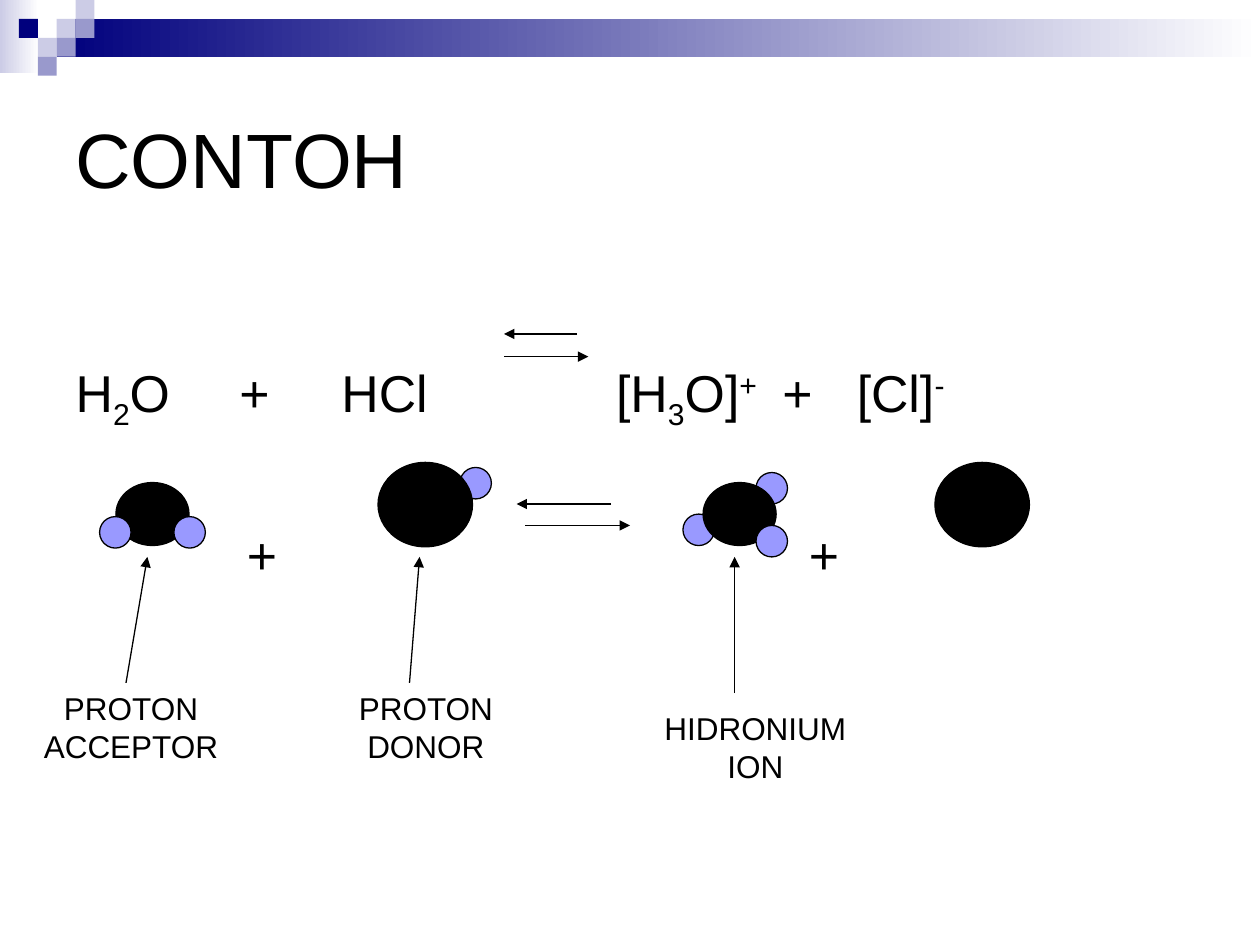
from lxml.etree import SubElement
from pptx import Presentation
from pptx.dml.color import RGBColor
from pptx.enum.shapes import MSO_CONNECTOR as Link, MSO_SHAPE as Shape
from pptx.enum.text import MSO_ANCHOR as Anchor, PP_ALIGN as Align
from pptx.oxml.ns import qn
from pptx.util import Inches, Pt

COLORS = {"ink": "000000", "hydrogen": "9999FF", "navy": "00007D",
          "pale": "CCCCE6", "mid": "9999CC", "white": "FFFFFF"}
FONT = "Arial"
CELL = 0.15
HYDROGEN = (0.25, 0.25)
OXYGEN = (0.58, 0.5)
CHLORINE = (0.75, 0.67)
SUB, SUP = -25000, 30000

GRADIENT_BARS = [(0, 0, 0.31, 0.58, "pale"), (0.45, 0.15, 9.55, 0.3, "navy")]
MOSAIC = [(3, 1, "pale"), (4, 0, "pale"), (4, 1, "mid"), (2, 2, "pale"),
          (1, 1, "navy"), (3, 2, "mid"), (2, 3, "mid")]

TITLE = "CONTOH"
EQUATION = [("H", 0), ("2", SUB), ("O\t+\tHCl\t[H", 0), ("3", SUB), ("O]", 0),
            ("+", SUP), ("\t+\t[Cl]", 0), ("-", SUP)]
EQUATION_TABS = [1.3, 2.11, 4.29, 5.61, 6.2]
MODEL_PLUSES = [("\t+\t+", 0)]
MODEL_TABS = [1.36, 5.82]

ATOMS = [
    (0.92, 3.83, OXYGEN, "ink"),
    (0.79, 4.1, HYDROGEN, "hydrogen"),
    (1.38, 4.1, HYDROGEN, "hydrogen"),
    (3.65, 3.71, HYDROGEN, "hydrogen"),
    (3, 3.67, CHLORINE, "ink"),
    (6, 3.75, HYDROGEN, "hydrogen"),
    (5.42, 4.08, HYDROGEN, "hydrogen"),
    (5.58, 3.83, OXYGEN, "ink"),
    (6, 4.17, HYDROGEN, "hydrogen"),
    (7.42, 3.67, CHLORINE, "ink"),
]
EQUILIBRIUM_ARROWS = [(4, 2.83, 4.67, 2.83), (4.58, 2.65, 4, 2.65),
                      (4.17, 4.17, 5, 4.17), (4.85, 4, 4.1, 4)]
LABELS = [
    ("PROTON ACCEPTOR", (0, 5.42, 2.08, 0.7), (1, 5.42, 1.17, 4.42)),
    ("PROTON DONOR", (2.67, 5.42, 1.42, 0.7), (3.25, 5.42, 3.33, 4.42)),
    ("HIDRONIUM ION", (5.08, 5.58, 1.83, 0.7), (5.83, 5.5, 5.83, 4.42)),
]


def rgb(name):
    return RGBColor.from_string(COLORS[name])


def add_figure(slide, kind, box, color, outlined=False, fading=False):
    figure = slide.shapes.add_shape(kind, *map(Inches, box))
    figure.shadow.inherit = False
    if fading:
        figure.fill.gradient()
        figure.fill.gradient_angle = 0
        for stop, shade in zip(figure.fill.gradient_stops, (color, "white")):
            stop.color.rgb = rgb(shade)
    else:
        figure.fill.solid()
        figure.fill.fore_color.rgb = rgb(color)
    if outlined:
        figure.line.color.rgb = rgb("ink")
        figure.line.width = Pt(0.75)
    else:
        figure.line.fill.background()


def add_arrow(slide, ends):
    arrow = slide.shapes.add_connector(Link.STRAIGHT, *map(Inches, ends))
    arrow.line.color.rgb = rgb("ink")
    arrow.line.width = Pt(0.75)
    SubElement(arrow.line._get_or_add_ln(), qn("a:tailEnd"), type="triangle")
    SubElement(arrow._element.spPr, qn("a:effectLst"))


def add_text(slide, box, size, pieces, align=Align.LEFT, anchor=Anchor.TOP, tabs=(), inset=True):
    frame = slide.shapes.add_textbox(*map(Inches, box)).text_frame
    frame.word_wrap = True
    frame.vertical_anchor = anchor
    if not inset:
        frame.margin_left = frame.margin_right = frame.margin_top = frame.margin_bottom = 0
    paragraph = frame.paragraphs[0]
    paragraph.alignment = align
    paragraph.font.name = FONT
    paragraph.font.size = Pt(size)
    paragraph.font.color.rgb = rgb("ink")
    if tabs:
        stops = paragraph._p.get_or_add_pPr()
        tab_list = stops.makeelement(qn("a:tabLst"))
        stops.insert(0, tab_list)
        for tab in tabs:
            SubElement(tab_list, qn("a:tab"), pos=str(Inches(tab)), algn="l")
    for words, shift in pieces:
        run = paragraph.add_run()
        run.text = words
        if shift:
            run._r.get_or_add_rPr().set("baseline", str(shift))


def main():
    deck = Presentation()
    deck.slide_width, deck.slide_height = Inches(10), Inches(7.5)
    slide = deck.slides.add_slide(deck.slide_layouts[6])

    for *box, color in GRADIENT_BARS:
        add_figure(slide, Shape.RECTANGLE, box, color, fading=True)
    for column, row, color in MOSAIC:
        add_figure(slide, Shape.RECTANGLE, (column * CELL, row * CELL, CELL, CELL), color)

    add_text(slide, (0.5, 0.5, 9, 1.5), 44, [(TITLE, 0)], anchor=Anchor.MIDDLE)
    for top, pieces, tabs in [(2.86, EQUATION, EQUATION_TABS), (4.15, MODEL_PLUSES, MODEL_TABS)]:
        add_text(slide, (0.6, top, 8.8, 0.5), 29.6, pieces, tabs=tabs, inset=False)

    for left, top, size, color in ATOMS:
        add_figure(slide, Shape.OVAL, (left, top, *size), color, outlined=True)
    for ends in EQUILIBRIUM_ARROWS:
        add_arrow(slide, ends)
    for words, box, pointer in LABELS:
        add_text(slide, box, 18, [(words, 0)], align=Align.CENTER)
        add_arrow(slide, pointer)

    deck.save("out.pptx")


if __name__ == "__main__":
    main()
